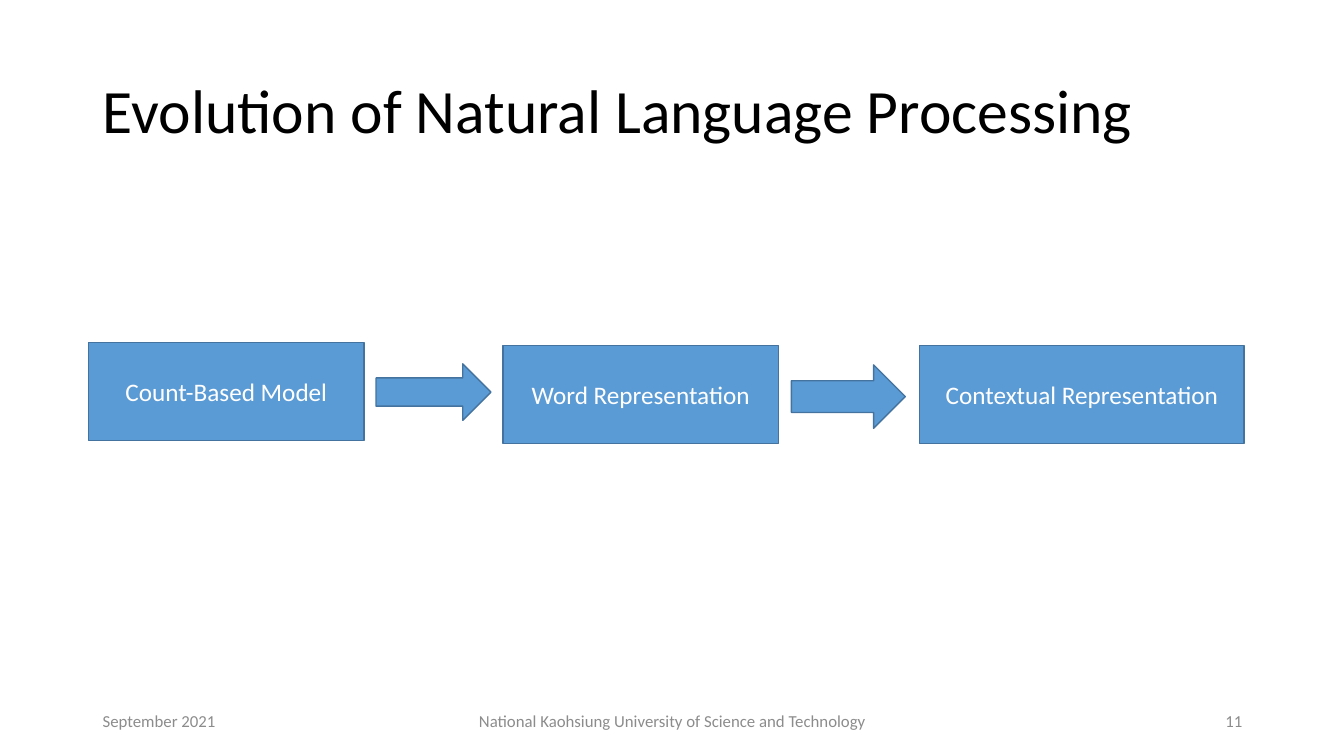
from pptx import Presentation
from pptx.dml.color import RGBColor
from pptx.enum import shapes, text
from pptx.util import Inches, Pt

COLORS = {"title": "000000", "footer": "8C8C8C", "fill": "5B9BD5",
          "line": "43739E", "label": "FFFFFF"}
FONT = "Calibri"
ALIGN = text.PP_ALIGN


def rgb(name):
    return RGBColor.from_string(COLORS[name])


def write(sp, words, size, color, align):
    tf = sp.text_frame
    tf.word_wrap = True
    tf.vertical_anchor = text.MSO_ANCHOR.MIDDLE
    p = tf.paragraphs[0]
    p.text = words
    p.alignment = align
    p.font.name, p.font.size = FONT, Pt(size)
    p.font.color.rgb = rgb(color)
    return p


def add_text(s, box, words, size, color, align=ALIGN.LEFT):
    sp = s.shapes.add_textbox(*map(Inches, box))
    return write(sp, words, size, color, align)


def add_block(s, kind, box):
    sp = s.shapes.add_shape(kind, *map(Inches, box))
    sp.shadow.inherit = False
    sp.fill.solid()
    sp.fill.fore_color.rgb = rgb("fill")
    sp.line.color.rgb = rgb("line")
    sp.line.width = Pt(1)
    return sp


def add_title(s, box):
    p = add_text(s, box, "Evolution of Natural Language Processing", 44, "title")
    p.line_spacing = 0.9


def add_flow(s, box):
    left, top, width, height = box
    # Stages: label, x offset, y offset, width
    stages = [("Count-Based Model", 0, 0, 2.73),
              ("Word Representation", 4.11, 0.03, 2.73),
              ("Contextual Representation", 8.24, 0.03, width - 8.24)]
    for label, dx, dy, w in stages:
        sp = add_block(s, shapes.MSO_SHAPE.RECTANGLE,
                       (left + dx, top + dy, w, height))
        write(sp, label, 18, "label", ALIGN.CENTER)
    # Arrows between stages: x offset, y offset, width, height
    for dx, dy, w, h in [(2.85, 0.21, 1.14, 0.56), (6.97, 0.22, 1.13, 0.63)]:
        add_block(s, shapes.MSO_SHAPE.RIGHT_ARROW, (left + dx, top + dy, w, h))


def add_footer(s, box):
    left, top, width, height = box
    # Date at the left, school in the centre, page number at the right
    parts = [("September 2021", 0, 3, ALIGN.LEFT),
             ("National Kaohsiung University of Science and Technology",
              (width - 4.5) / 2, 4.5, ALIGN.CENTER),
             ("11", width - 3, 3, ALIGN.RIGHT)]
    for words, dx, w, align in parts:
        add_text(s, (left + dx, top, w, height), words, 12, "footer", align)


def main():
    prs = Presentation()
    prs.slide_width, prs.slide_height = Inches(13.33), Inches(7.5)
    s = prs.slides.add_slide(prs.slide_layouts[6])
    add_title(s, (0.92, 0.4, 11.5, 1.45))
    add_flow(s, (0.88, 3.4, 11.46, 0.97))
    add_footer(s, (0.92, 6.95, 11.5, 0.4))
    prs.save("out.pptx")


if __name__ == "__main__":
    main()
